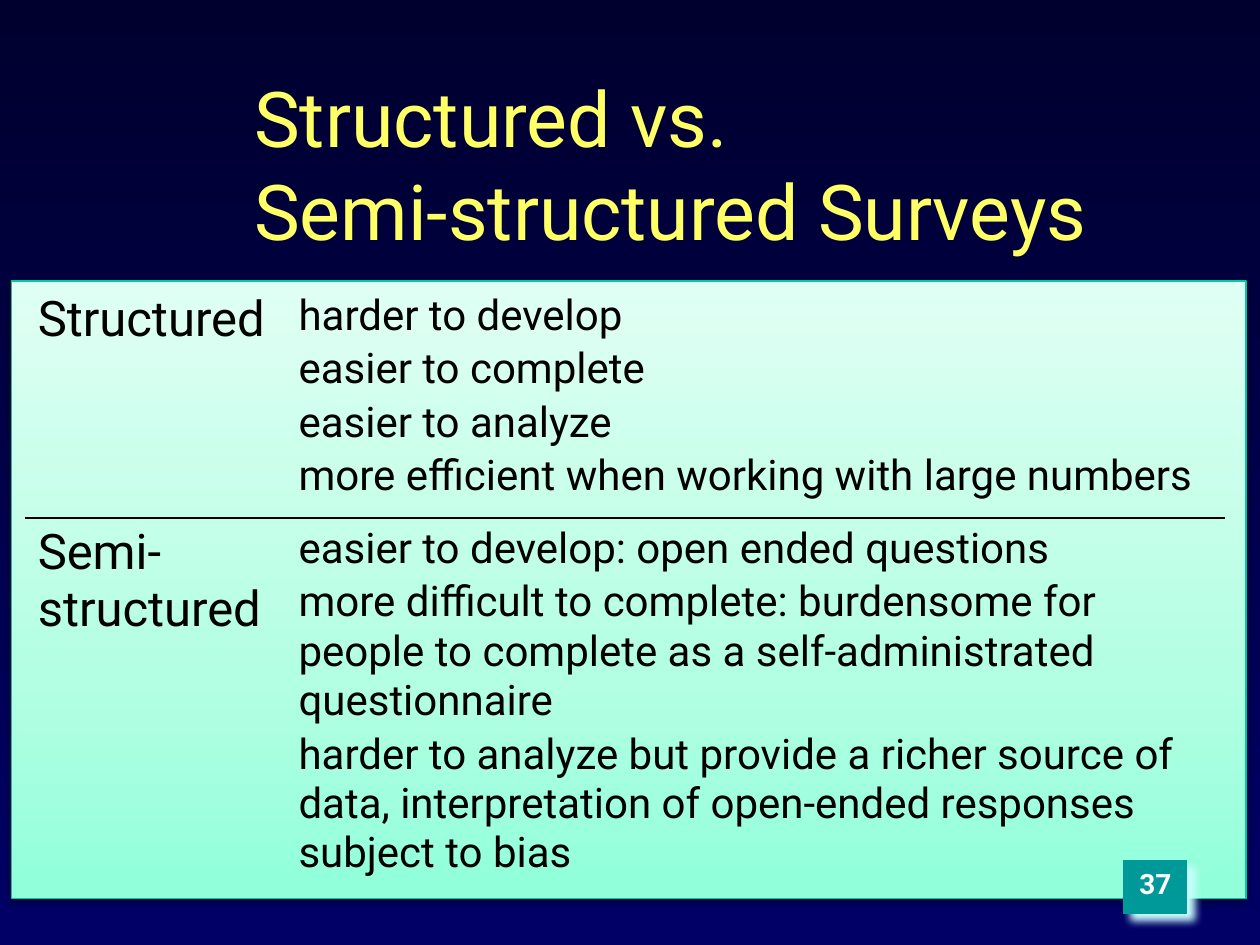
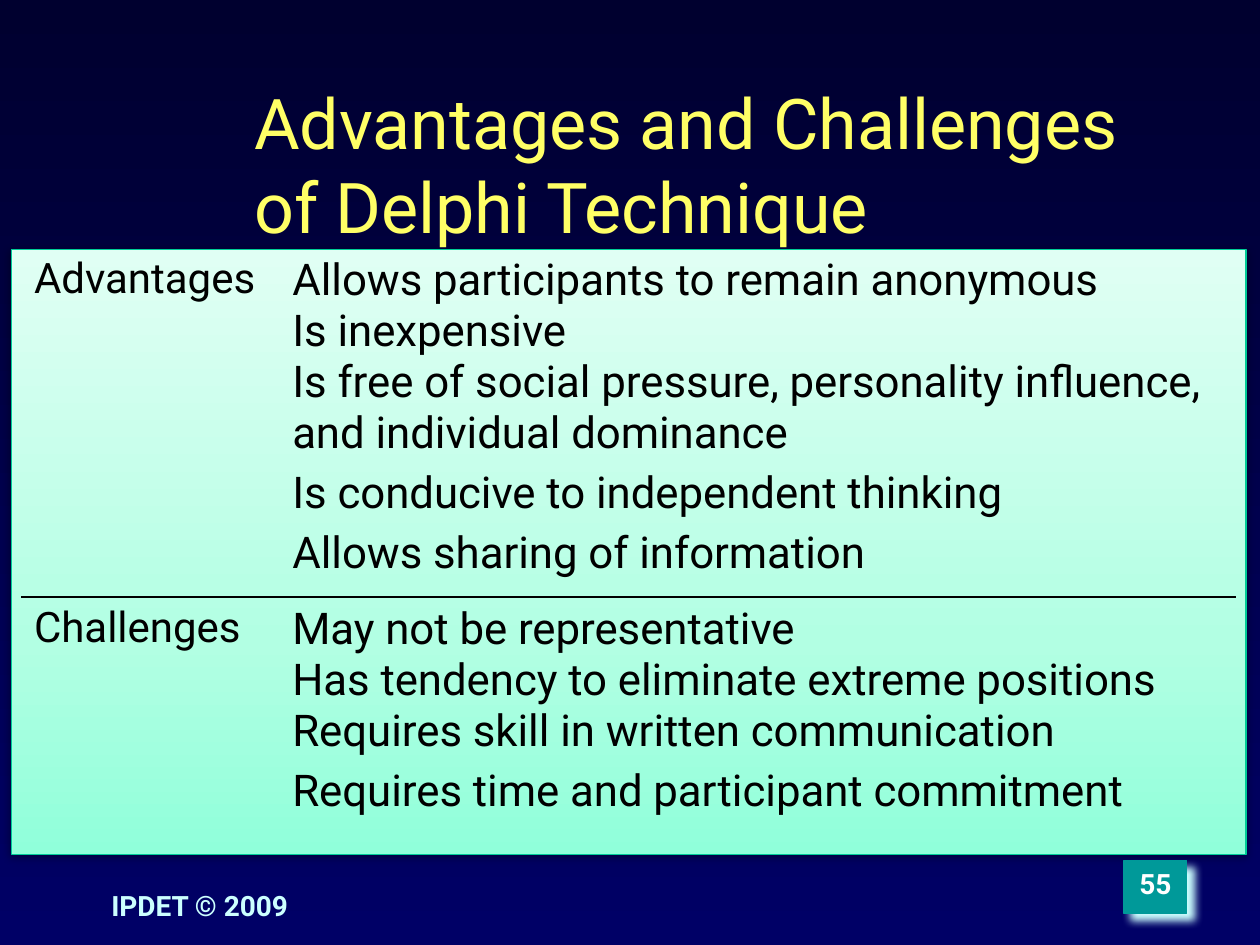
from lxml import etree
from pptx import Presentation
from pptx.dml.color import RGBColor
from pptx.enum.shapes import MSO_SHAPE
from pptx.enum.text import MSO_ANCHOR, PP_ALIGN
from pptx.oxml.ns import qn
from pptx.util import Inches, Pt

# Content: "\v" breaks a line inside a paragraph
SLIDES = [
    {
        "title": "Structured vs.\vSemi-structured Surveys", "title_size": 44,
        "number": "37", "footer": None,
        "panel": (2.23, 4.9),
        "table": {"at": (0.2, 2.26), "columns": (2.07, 7.45), "rows": (1.85, 2.98),
                  "label_size": 28, "point_size": 24, "gap": 2.4},
        "groups": [
            ("Structured", [
                "harder to develop",
                "easier to complete",
                "easier to analyze",
                "more efficient when working with large numbers",
            ]),
            ("Semi-structured", [
                "easier to develop: open ended questions",
                "more difficult to complete: burdensome for people to complete "
                "as a self-administrated questionnaire",
                "harder to analyze but provide a richer source of data, "
                "interpretation of open-ended responses subject to bias",
            ]),
        ],
    },
    {
        "title": "Advantages and Challenges of Delphi Technique", "title_size": 40,
        "number": "55", "footer": "IPDET © 2009",
        "panel": (1.98, 4.8),
        "table": {"at": (0.17, 1.97), "columns": (2.05, 7.59), "rows": (2.77, 2.04),
                  "label_size": 24, "point_size": 25, "gap": 5},
        "groups": [
            ("Advantages", [
                "Allows participants to remain anonymous\vIs inexpensive\v"
                "Is free of social pressure, personality influence, "
                "and individual dominance",
                "Is conducive to independent thinking",
                "Allows sharing of information",
            ]),
            ("Challenges", [
                "May not be representative\v"
                "Has tendency to eliminate extreme positions\v"
                "Requires skill in written communication",
                "Requires time and participant commitment",
            ]),
        ],
    },
]

# Shared style
FONT = "Roboto"
COLORS = {
    "title": "FFFF66", "text": "000000", "number": "FFFFFF", "footer": "CCFFFF",
    "badge": "009999", "panel_line": "00CC98",
}
NIGHT = [(0, "00002F"), (100, "000066")]
MINT = [(0, "90FFDA"), (35, "B2FFE3"), (100, "E0FFF4")]
PANEL_SHADOW = ("000000", 38, 5, 1.6, 90)
BADGE_SHADOW = ("CCFFFF", 100, 5, 5.7, 45)
PLAIN_TABLE = "{2D5ABB26-0587-4C30-8999-92F81FD0307C}"


def add(parent, tag, **attributes):
    child = etree.SubElement(parent, qn(tag))
    for name, value in attributes.items():
        child.set(name, str(value))
    return child


def color(name):
    return RGBColor.from_string(COLORS[name])


def paint_gradient(fill, holder, stops, angle):
    fill.gradient()
    gradient = next(holder.iter(qn("a:gradFill")))
    for child in list(gradient):
        gradient.remove(child)
    stop_list = add(gradient, "a:gsLst")
    for position, value in stops:
        stop = add(stop_list, "a:gs", pos=position * 1000)
        add(stop, "a:srgbClr", val=value)
    add(gradient, "a:lin", ang=angle * 60000, scaled=0)


def cast_shadow(shape, value, alpha, blur, distance, angle):
    shape.shadow.inherit = False
    effects = shape._element.spPr.find(qn("a:effectLst"))
    shadow = add(effects, "a:outerShdw", blurRad=Pt(blur), dist=Pt(distance),
                 dir=angle * 60000, algn="ctr", rotWithShape=0)
    add(add(shadow, "a:srgbClr", val=value), "a:alpha", val=alpha * 1000)


def write(frame, paragraphs, size, color_name, bold=False, align=PP_ALIGN.LEFT, gap=0):
    frame.word_wrap = True
    frame.text = "\n".join(paragraphs)
    for index, para in enumerate(frame.paragraphs):
        para.alignment = align
        if index and gap:
            para.space_before = Pt(gap)
        for span in para.runs:
            span.font.name, span.font.size = FONT, Pt(size)
            span.font.bold, span.font.color.rgb = bold, color(color_name)


def add_box(page, left, top, width, height):
    return page.shapes.add_textbox(*map(Inches, (left, top, width, height)))


def add_rectangle(page, at, line_name, shadow):
    shape = page.shapes.add_shape(MSO_SHAPE.RECTANGLE, *map(Inches, at))
    shape.line.color.rgb, shape.line.width = color(line_name), Pt(0.75)
    cast_shadow(shape, *shadow)
    return shape


def add_divider(cell, edge):
    properties = cell._tc.get_or_add_tcPr()
    line = etree.Element(qn(edge), w=str(Pt(1)))
    add(add(line, "a:solidFill"), "a:srgbClr", val=COLORS["text"])
    properties.insert(0, line)


def add_comparison(page, groups, grid):
    left, top = grid["at"]
    extent = (left, top, sum(grid["columns"]), sum(grid["rows"]))
    table = page.shapes.add_table(len(groups), 2, *map(Inches, extent)).table
    table.first_row = table.horz_banding = False
    table._tbl.tblPr.find(qn("a:tableStyleId")).text = PLAIN_TABLE
    for column, width in zip(table.columns, grid["columns"]):
        column.width = Inches(width)
    for index, (label, points) in enumerate(groups):
        table.rows[index].height = Inches(grid["rows"][index])
        label_cell, points_cell = table.rows[index].cells
        write(label_cell.text_frame, [label], grid["label_size"], "text")
        write(points_cell.text_frame, points, grid["point_size"], "text", gap=grid["gap"])
        for cell in (label_cell, points_cell):
            cell.fill.background()
            add_divider(cell, "a:lnT" if index else "a:lnB")


def build_page(deck, content):
    page = deck.slides.add_slide(deck.slide_layouts[6])
    paint_gradient(page.background.fill, page._element, NIGHT, 90)

    # Mint panel behind the table
    top, height = content["panel"]
    panel = add_rectangle(page, (0.09, top, 9.8, height), "panel_line", PANEL_SHADOW)
    paint_gradient(panel.fill, panel._element, MINT, 270)

    # Footer and page number
    if content["footer"]:
        footer = add_box(page, 0, 7, 3.17, 0.5)
        write(footer.text_frame, [content["footer"]], 16, "footer", True, PP_ALIGN.CENTER)
    badge = add_rectangle(page, (8.92, 6.83, 0.5, 0.42), "badge", BADGE_SHADOW)
    badge.fill.solid()
    badge.fill.fore_color.rgb = color("badge")
    badge.text_frame.vertical_anchor = MSO_ANCHOR.TOP
    write(badge.text_frame, [content["number"]], 16, "number", True, PP_ALIGN.CENTER)

    # Title
    title = add_box(page, 1.92, 0.67, 7.33, 1.25)
    title.text_frame.vertical_anchor = MSO_ANCHOR.MIDDLE
    write(title.text_frame, [content["title"]], content["title_size"], "title")

    add_comparison(page, content["groups"], content["table"])


def main():
    deck = Presentation()
    deck.slide_width, deck.slide_height = Inches(10), Inches(7.5)
    for content in SLIDES:
        build_page(deck, content)
    deck.save("out.pptx")


if __name__ == "__main__":
    main()
